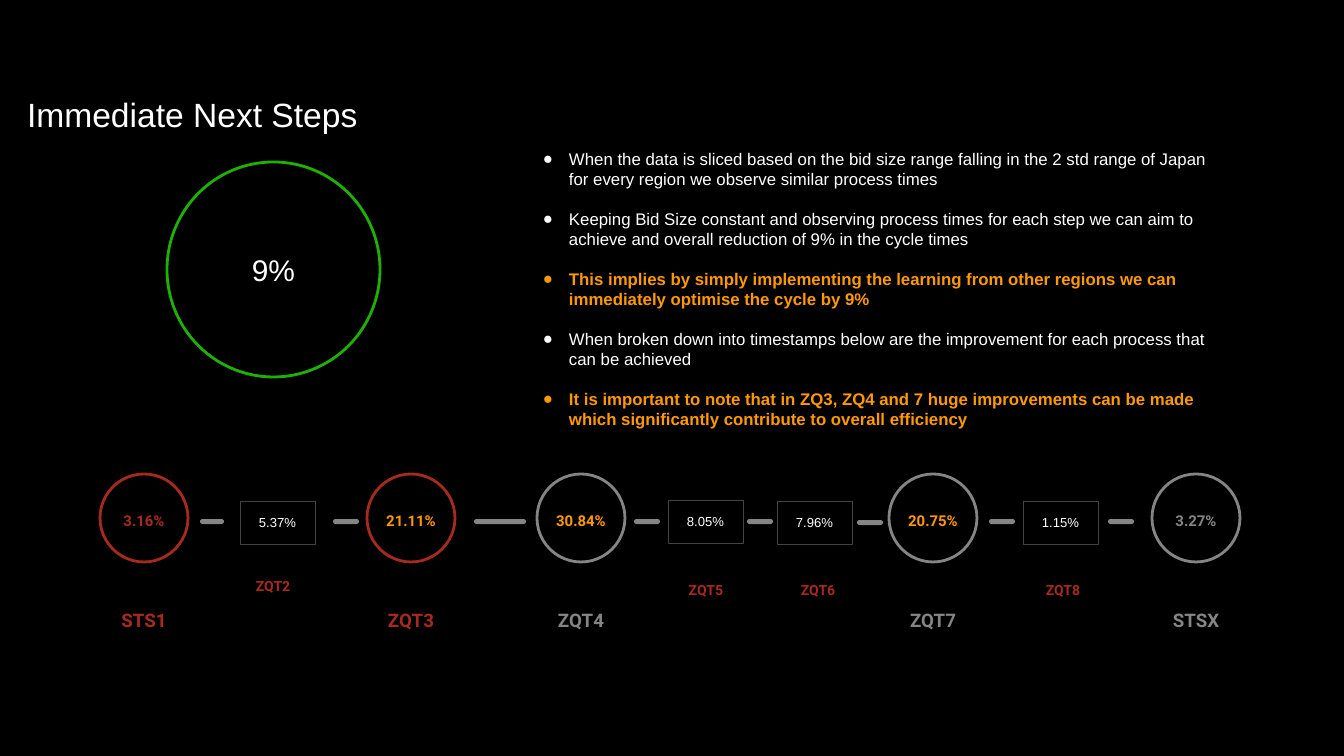
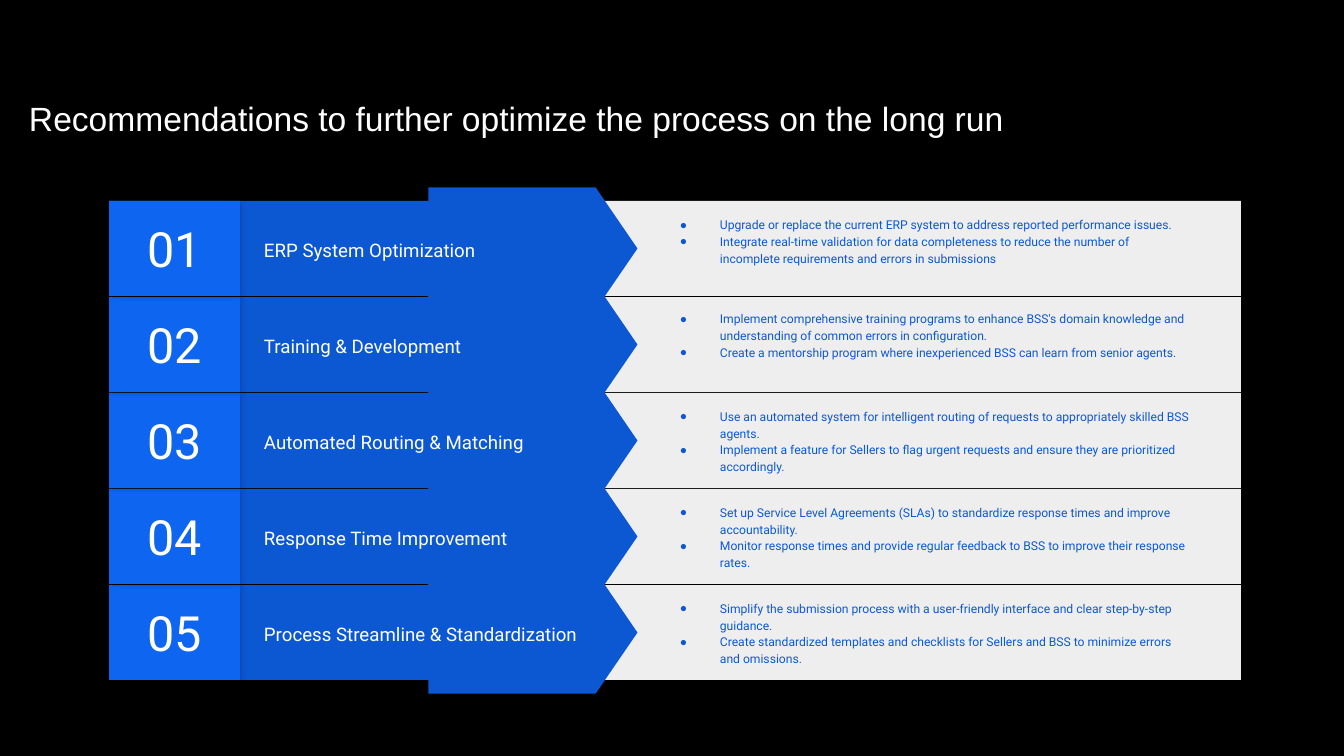
from dataclasses import dataclass

from lxml import etree
from pptx import Presentation
from pptx import util as u
from pptx.dml.color import RGBColor
from pptx.enum import shapes as kinds
from pptx.enum import text as t
from pptx.oxml import ns

EMU_PER_PX = 914400 / 67.2
SHAPE = kinds.MSO_SHAPE
CENTER = t.PP_ALIGN.CENTER
MIDDLE, BOTTOM = t.MSO_ANCHOR.MIDDLE, t.MSO_ANCHOR.BOTTOM


@dataclass(frozen=True)
class Theme:
    background: str = "000000"
    white: str = "FFFFFF"
    red: str = "A72A1E"
    grey: str = "858585"
    orange: str = "FF9900"
    green: str = "1DB100"
    box_line: str = "434343"
    panel: str = "EEEEEE"
    blue: str = "0C58D3"
    tile: str = "0E65F0"
    tile_back: str = "0D5DDF"
    body_font: str = "Arial"
    label_font: str = "Roboto"
    title_size: int = 36
    total_size: int = 32
    body_size: int = 18
    stage_size: int = 20
    value_size: int = 16
    step_size: int = 15
    box_size: int = 14
    number_size: int = 52
    note_size: int = 13


THEME = Theme()

FINDINGS = [
    ("When the data is sliced based on the bid size range falling in the 2 std range of Japan "
     "for every region we observe similar process times", False),
    ("Keeping Bid Size constant and observing process times for each step we can aim to "
     "achieve and overall reduction of 9% in the cycle times", False),
    ("This implies by simply implementing the learning from other regions we can "
     "immediately optimise the cycle by 9%", True),
    ("When broken down into timestamps below are the improvement for each process that "
     "can be achieved", False),
    ("It is important to note that in ZQ3, ZQ4 and 7 huge improvements can be made "
     "which significantly contribute to overall efficiency", True),
]
# name, value, centre, ring colour, value colour
STAGES = [
    ("STS1", "3.16%", 144, THEME.red, THEME.red),
    ("ZQT3", "21.11%", 411, THEME.red, THEME.orange),
    ("ZQT4", "30.84%", 581, THEME.grey, THEME.orange),
    ("ZQT7", "20.75%", 933, THEME.grey, THEME.orange),
    ("STSX", "3.27%", 1196, THEME.grey, THEME.grey),
]
# name, value, box left, box top, label centre, label top
STEPS = [
    ("ZQT2", "5.37%", 240, 501, 273, 550),
    ("ZQT5", "8.05%", 668, 500, 706, 554),
    ("ZQT6", "7.96%", 777, 501, 818, 554),
    ("ZQT8", "1.15%", 1023, 501, 1063, 554),
]
# left, top, width
DASHES = [(200, 519, 24), (333, 519, 26), (474, 519, 52), (634, 519, 26),
          (747, 519, 26), (857, 520, 26), (989, 519, 26), (1108, 519, 26)]
# heading, notes, room kept free below the notes
RECOMMENDATIONS = [
    ("ERP System Optimization",
     ["Upgrade or replace the current ERP system to address reported performance issues.",
      "Integrate real-time validation for data completeness to reduce the number of "
      "incomplete requirements and errors in submissions"], 16),
    ("Training & Development",
     ["Implement comprehensive training programs to enhance BSS's domain knowledge and "
      "understanding of common errors in configuration.",
      "Create a mentorship program where inexperienced BSS can learn from senior agents."], 20),
    ("Automated Routing & Matching",
     ["Use an automated system for intelligent routing of requests to appropriately "
      "skilled BSS agents.",
      "Implement a feature for Sellers to flag urgent requests and ensure they are "
      "prioritized accordingly."], 0),
    ("Response Time Improvement",
     ["Set up Service Level Agreements (SLAs) to standardize response times and improve "
      "accountability.",
      "Monitor response times and provide regular feedback to BSS to improve their "
      "response rates."], 0),
    ("Process Streamline & Standardization",
     ["Simplify the submission process with a user-friendly interface and clear "
      "step-by-step guidance.",
      "Create standardized templates and checklists for Sellers and BSS to minimize "
      "errors and omissions."], 0),
]


def px(length):
    return u.Emu(round(length * EMU_PER_PX))


def set_values(target, values):
    for name, value in values.items():
        setattr(target, name, value)


def add_bullet(paragraph, color, margin, hanging):
    properties = paragraph._p.get_or_add_pPr()
    properties.set("marL", str(px(margin)))
    properties.set("indent", str(-px(hanging)))
    bullet_color = etree.SubElement(properties, ns.qn("a:buClr"))
    etree.SubElement(bullet_color, ns.qn("a:srgbClr"), val=color)
    etree.SubElement(properties, ns.qn("a:buFont"), typeface=THEME.body_font)
    etree.SubElement(properties, ns.qn("a:buChar"), char="●")


def write_paragraph(paragraph, content, size, font, color=THEME.white, bold=False, **layout):
    run = paragraph.add_run()
    run.text = content
    set_values(run.font, {"size": u.Pt(size), "name": font, "bold": bold})
    run.font.color.rgb = RGBColor.from_string(color)
    set_values(paragraph, layout)


def set_frame(shape, inset, anchor=t.MSO_ANCHOR.TOP, room_below=0):
    frame = shape.text_frame
    sides = ("margin_left", "margin_top", "margin_right", "margin_bottom")
    set_values(frame, {"word_wrap": True, "vertical_anchor": anchor,
                       **dict.fromkeys(sides, px(inset))})
    frame.margin_bottom = px(inset + room_below)
    return frame


def add_text(shapes, box, content, size, font, inset=13, anchor=t.MSO_ANCHOR.TOP, **style):
    frame = set_frame(shapes.add_textbox(*map(px, box)), inset, anchor)
    write_paragraph(frame.paragraphs[0], content, size, font, **style)


def add_bullets(shapes, box, items, size, font, margin, hanging, inset,
                gap=0, room_below=0, anchor=t.MSO_ANCHOR.TOP, line_spacing=1.0):
    """Write (content, color, bold) items as one bulleted list."""
    frame = set_frame(shapes.add_textbox(*map(px, box)), inset, anchor, room_below)
    for index, (content, color, bold) in enumerate(items):
        paragraph = frame.add_paragraph() if index else frame.paragraphs[0]
        add_bullet(paragraph, color, margin, hanging)
        write_paragraph(paragraph, content, size, font, color, bold,
                        line_spacing=line_spacing, space_before=u.Pt(gap if index else 0))


def add_shape(shapes, kind, box, fill=None, line=None, line_width=3):
    shape = shapes.add_shape(kind, *map(px, box))
    shape.shadow.inherit = False
    if fill:
        shape.fill.solid()
        shape.fill.fore_color.rgb = RGBColor.from_string(fill)
    else:
        shape.fill.background()
    if line:
        shape.line.color.rgb = RGBColor.from_string(line)
        shape.line.width = u.Pt(line_width)
    else:
        shape.line.fill.background()
    return shape


def add_label_in(shape, content, size, font, inset):
    frame = set_frame(shape, inset, MIDDLE)
    write_paragraph(frame.paragraphs[0], content, size, font, alignment=CENTER)


def add_soft_shadow(shape):
    effects = shape._element.spPr.find(ns.qn("a:effectLst"))
    shadow = etree.SubElement(effects, ns.qn("a:outerShdw"), blurRad=str(u.Pt(5.6)),
                              dist=str(u.Pt(2.2)), dir="2700000", algn="bl", rotWithShape="0")
    color = etree.SubElement(shadow, ns.qn("a:srgbClr"), val=THEME.background)
    etree.SubElement(color, ns.qn("a:alpha"), val="17000")


def add_titled_slide(presentation, title, box):
    slide = presentation.slides.add_slide(presentation.slide_layouts[6])
    slide.background.fill.solid()
    slide.background.fill.fore_color.rgb = RGBColor.from_string(THEME.background)
    add_text(slide.shapes, box, title, THEME.title_size, THEME.body_font, inset=7)
    return slide


def add_stage(slide, name, value, center, ring_color, value_color):
    shapes = slide.shapes.add_group_shape().shapes
    style = {"bold": True, "alignment": CENTER, "line_spacing": 1.15}
    add_shape(shapes, SHAPE.OVAL, (center - 44, 474, 88, 88), line=ring_color)
    add_text(shapes, (center - 44, 499, 88, 47), value, THEME.value_size, THEME.label_font,
             color=value_color, **style)
    add_text(shapes, (center - 97, 578, 194, 66), name, THEME.stage_size, THEME.label_font,
             anchor=BOTTOM, color=ring_color, **style)


def add_step(shapes, name, value, left, top, label_center, label_top):
    add_text(shapes, (label_center - 60, label_top, 120, 54), name, THEME.step_size,
             THEME.label_font, anchor=BOTTOM, color=THEME.red, bold=True,
             alignment=CENTER, line_spacing=1.15)
    box = add_shape(shapes, SHAPE.RECTANGLE, (left, top, 75, 43),
                    line=THEME.box_line, line_width=0.75)
    add_label_in(box, value, THEME.box_size, THEME.body_font, inset=7)


def add_dash(shapes, left, top, width):
    dash = add_shape(shapes, SHAPE.ROUNDED_RECTANGLE, (left, top, width, 5), fill=THEME.grey)
    dash.adjustments[0] = 0.5


def add_recommendation(slide, number, heading, notes, room_below):
    shapes = slide.shapes.add_group_shape().shapes
    height, pitch = 95, 96
    top = 201 + (number - 1) * pitch
    add_shape(shapes, SHAPE.RECTANGLE, (515, top, 726, height), fill=THEME.panel)
    add_shape(shapes, SHAPE.RECTANGLE, (240, top, 350, height), fill=THEME.blue)
    arrow = add_shape(shapes, SHAPE.FLOWCHART_OFFPAGE_CONNECTOR,
                      (472, top - 57, 122, 209), fill=THEME.blue)
    arrow.rotation = 270
    add_text(shapes, (251, top + 11, 368, 73), heading, THEME.stage_size, THEME.label_font,
             anchor=MIDDLE, line_spacing=1.15)
    tile_box = (109, top, 131, height)
    add_soft_shadow(add_shape(shapes, SHAPE.RECTANGLE, tile_box, fill=THEME.tile_back))
    tile = add_shape(shapes, SHAPE.RECTANGLE, tile_box, fill=THEME.tile)
    add_label_in(tile, f"{number:02}", THEME.number_size, THEME.label_font, inset=13)
    add_bullets(shapes, (640, top, 564, height), [(note, THEME.blue, False) for note in notes],
                THEME.note_size, THEME.label_font, margin=67, hanging=40, inset=13,
                room_below=room_below, anchor=MIDDLE, line_spacing=1.15)


def build_next_steps(presentation):
    slide = add_titled_slide(presentation, "Immediate Next Steps", (20, 87, 606, 108))
    for stage in STAGES:
        add_stage(slide, *stage)
    for dash in DASHES:
        add_dash(slide.shapes, *dash)
    for step in STEPS:
        add_step(slide.shapes, *step)
    ring = add_shape(slide.shapes, SHAPE.OVAL, (167, 162, 213, 215), line=THEME.green)
    add_label_in(ring, "9%", THEME.total_size, THEME.body_font, inset=13)
    items = [(content, THEME.orange if strong else THEME.white, strong)
             for content, strong in FINDINGS]
    add_bullets(slide.shapes, (528, 142, 693, 254), items, THEME.body_size, THEME.body_font,
                margin=34, hanging=26, inset=7, gap=21)


def build_recommendations(presentation):
    slide = add_titled_slide(presentation,
                             "Recommendations to further optimize the process on the long run",
                             (22, 91, 1116, 108))
    for number, row in reversed(list(enumerate(RECOMMENDATIONS, start=1))):
        add_recommendation(slide, number, *row)


def main():
    presentation = Presentation()
    set_values(presentation, {"slide_width": px(1344), "slide_height": px(756)})
    build_next_steps(presentation)
    build_recommendations(presentation)
    presentation.save("out.pptx")


if __name__ == "__main__":
    main()
